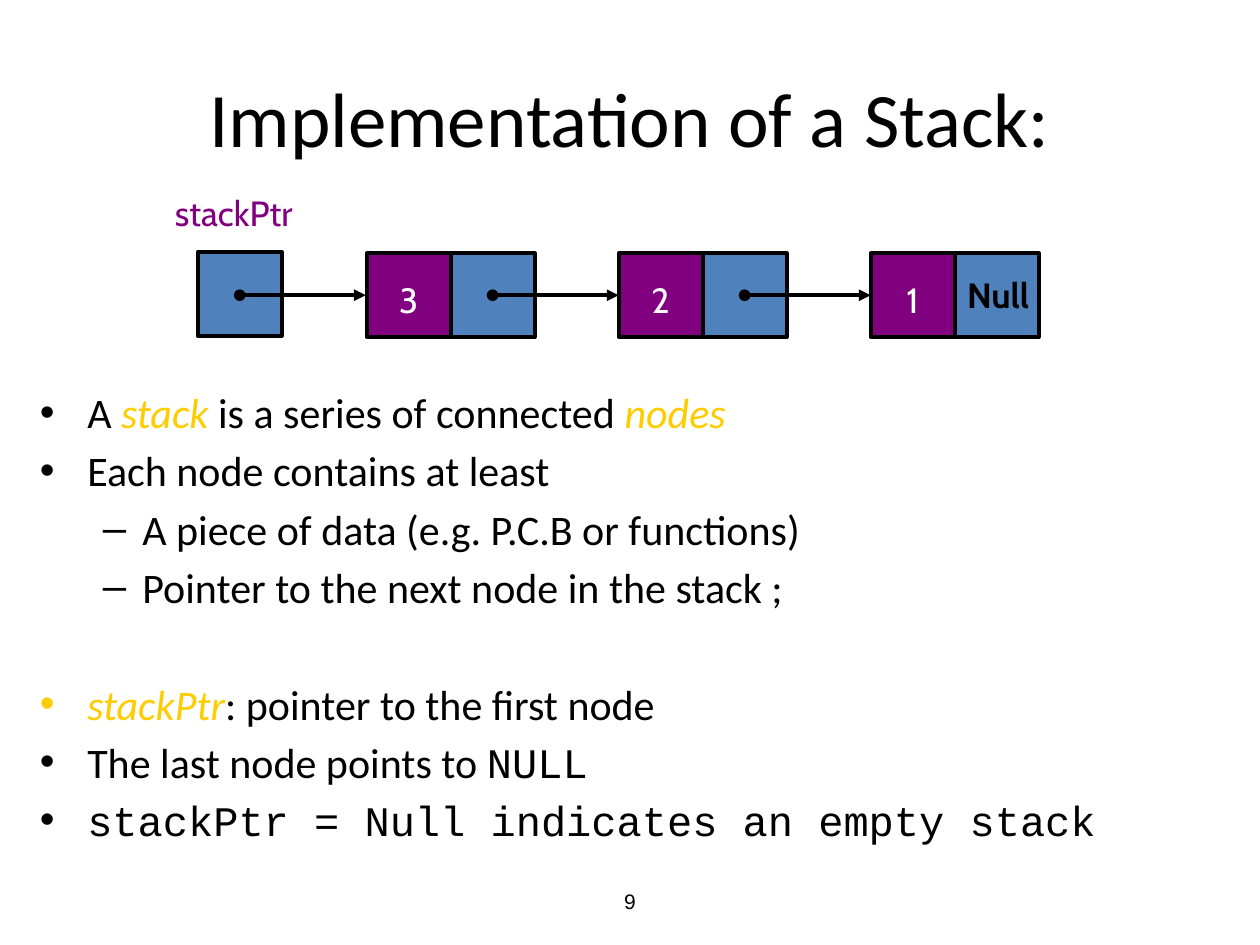
from lxml.etree import SubElement
from pptx import Presentation
from pptx.dml.color import RGBColor
from pptx.enum.shapes import MSO_CONNECTOR as CONN, MSO_SHAPE as SHAPE
from pptx.enum.text import MSO_ANCHOR as ANCHOR, PP_ALIGN as ALIGN
from pptx.oxml.ns import qn
from pptx.util import Pt

COLORS = {"black": "000000", "white": "FFFFFF", "blue": "4F81BD",
          "purple": "800080", "gold": "FFCC00"}

BODY = {"name": "Calibri", "size": 24, "color": "black"}
TERM = {**BODY, "color": "gold", "italic": True}
CODE = {**BODY, "name": "Courier New"}
DIAGRAM = {"name": "Cabin", "size": 20}

# Bullet, left margin and hanging indent for each level
LEVELS = [("•", 27, 27), ("–", 58.5, 22.5)]
LINE_GAP, BLOCK_GAP = 4.4, 38

# Level, space before, runs
BULLETS = [
    (0, 0, [("A ", BODY), ("stack ", TERM),
            ("is a series of connected ", BODY), ("nodes", TERM)]),
    (0, LINE_GAP, [("Each node contains at least", BODY)]),
    (1, LINE_GAP, [("A piece of data (e.g. P.C.B or functions)", BODY)]),
    (1, LINE_GAP, [("Pointer to the next node in the stack ;", BODY)]),
    (0, BLOCK_GAP, [("stackPtr", TERM), (": pointer to the first node", BODY)]),
    (0, LINE_GAP, [("The last node points to ", BODY), ("NULL", CODE)]),
    (0, LINE_GAP, [("stackPtr = Null indicates an empty stack", CODE)]),
]

# Linked list geometry
CELL = 48
NODE_LEFT, NODE_TOP, NODE_STEP = 209.5, 144.7, 144
POINTER_LEFT, POINTER_TOP = 113, 144
LABEL_H = 31.7


def rgb(name):
    return RGBColor.from_string(COLORS[name])


def set_font(font, fmt):
    for key, value in fmt.items():
        if key == "color":
            font.color.rgb = rgb(value)
        else:
            setattr(font, key, Pt(value) if key == "size" else value)


def add_run(p, text, fmt):
    r = p.add_run()
    r.text = text
    set_font(r.font, fmt)


def add_label(slide, box, text, fmt, wrap=False, anchor=ANCHOR.TOP):
    tf = slide.shapes.add_textbox(*map(Pt, box)).text_frame
    tf.word_wrap = wrap
    tf.vertical_anchor = anchor
    p = tf.paragraphs[0]
    p.alignment = ALIGN.CENTER
    add_run(p, text, fmt)


def add_cell(slide, left, top, color):
    sp = slide.shapes.add_shape(SHAPE.RECTANGLE, Pt(left), Pt(top), Pt(CELL), Pt(CELL))
    sp.shadow.inherit = False
    sp.fill.solid()
    sp.fill.fore_color.rgb = rgb(color)
    sp.line.color.rgb = rgb("black")
    sp.line.width = Pt(2.25)


def add_link(slide, left):
    """Arrow from the middle of a pointer cell to the next node."""
    y = NODE_TOP + CELL / 2
    link = slide.shapes.add_connector(
        CONN.STRAIGHT, Pt(left + CELL / 2), Pt(y), Pt(left + CELL * 2), Pt(y))
    link.line.color.rgb = rgb("black")
    link.line.width = Pt(2.25)
    ln = link.line._get_or_add_ln()
    for tag, kind in (("a:headEnd", "oval"), ("a:tailEnd", "triangle")):
        SubElement(ln, qn(tag), type=kind)
    SubElement(link._element.spPr, qn("a:effectLst"))


def add_node(slide, left, value, last):
    add_cell(slide, left + CELL, NODE_TOP, "blue")
    add_cell(slide, left, NODE_TOP, "purple")
    add_label(slide, (left + 11.5, 155.5, 25, LABEL_H), value,
              {**DIAGRAM, "color": "white"})
    if last:
        add_label(slide, (left + CELL - 2.5, 152.6, 54.7, LABEL_H), "Null",
                  {**DIAGRAM, "color": "black", "bold": True})
    else:
        add_link(slide, left + CELL)


def add_linked_list(slide, values):
    add_label(slide, (90.7, 105.8, 85.7, LABEL_H), "stackPtr",
              {**DIAGRAM, "color": "purple"})
    add_cell(slide, POINTER_LEFT, POINTER_TOP, "blue")
    add_link(slide, POINTER_LEFT)
    for i, value in enumerate(values):
        add_node(slide, NODE_LEFT + i * NODE_STEP, value, i == len(values) - 1)


def add_bullets(slide, box, bullets):
    tf = slide.shapes.add_textbox(*map(Pt, box)).text_frame
    tf.word_wrap = True
    for i, (level, gap, runs) in enumerate(bullets):
        p = tf.add_paragraph() if i else tf.paragraphs[0]
        char, margin, hanging = LEVELS[level]
        p.level = level
        p.space_before = Pt(gap)
        pPr = p._p.get_or_add_pPr()
        pPr.set("marL", str(Pt(margin)))
        pPr.set("indent", str(-Pt(hanging)))
        SubElement(pPr, qn("a:buFont"), typeface="Arial")
        SubElement(pPr, qn("a:buChar"), char=char)
        for text, fmt in runs:
            add_run(p, text, fmt)


def set_title(slide, box, text):
    title = slide.shapes.title
    title.left, title.top, title.width, title.height = map(Pt, box)
    tf = title.text_frame
    tf.vertical_anchor = ANCHOR.MIDDLE
    p = tf.paragraphs[0]
    p.alignment = ALIGN.CENTER
    add_run(p, text, {"name": "Calibri", "size": 44, "color": "black"})


def main():
    prs = Presentation()
    prs.slide_width, prs.slide_height = Pt(720), Pt(540)
    slide = prs.slides.add_slide(prs.slide_layouts[5])

    # Heading
    set_title(slide, (36, 21.6, 648, 90), "Implementation of a Stack:")

    # Diagram of the stack
    add_linked_list(slide, ["3", "2", "1"])

    # Explanation
    add_bullets(slide, (15.8, 217.5, 656, 296.6), BULLETS)

    # Page number
    add_label(slide, (246, 500.4, 228, 28.8), "9",
              {"name": "Arial", "size": 12, "color": "black"},
              wrap=True, anchor=ANCHOR.MIDDLE)

    prs.save("out.pptx")


if __name__ == "__main__":
    main()
